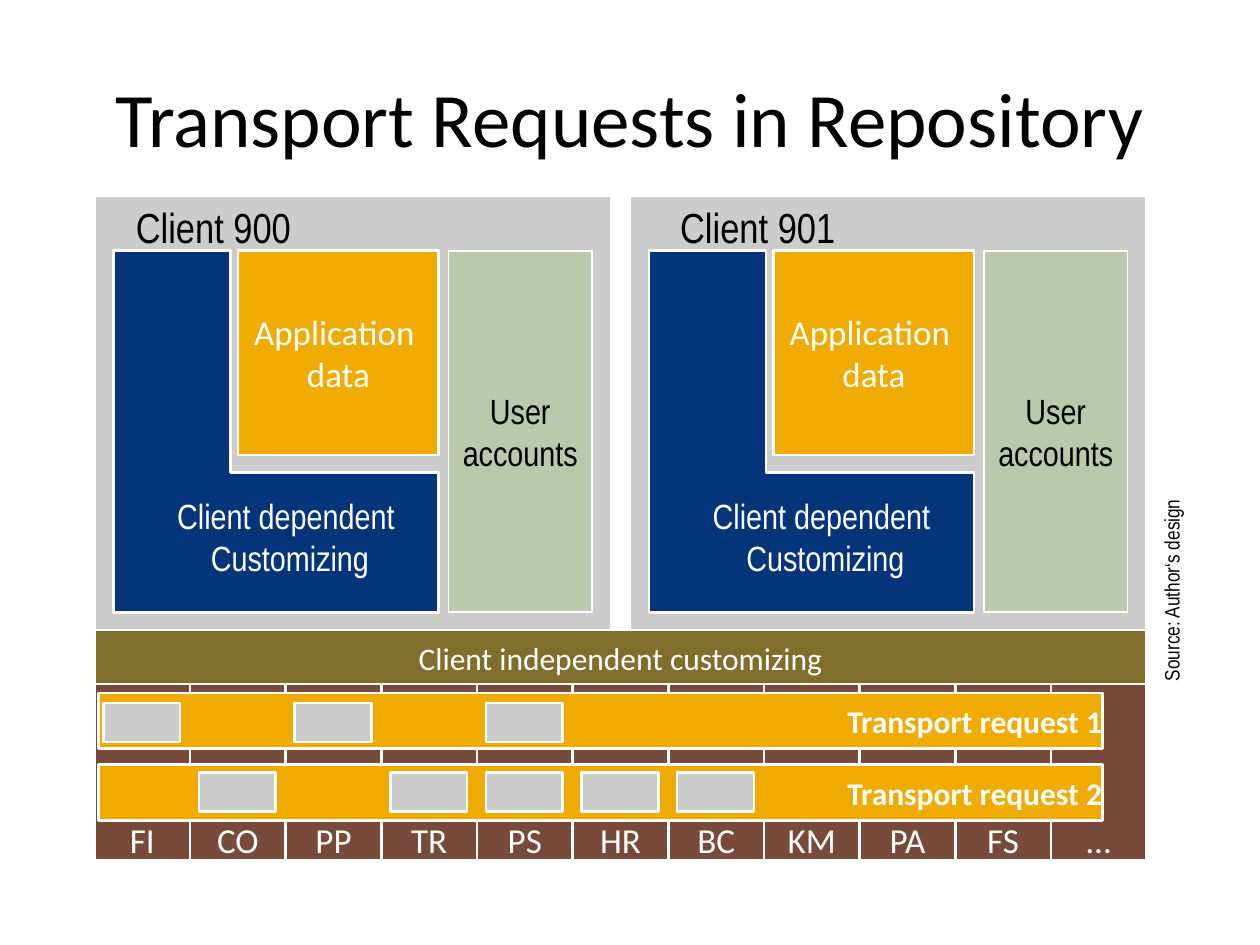
"""Build a slide on transport requests across two clients and shared modules."""
import pptx
import pptx.dml.color
import pptx.enum.shapes
import pptx.enum.text
import pptx.util
from dataclasses import dataclass

Inches = pptx.util.Inches
Pt = pptx.util.Pt
Align = pptx.enum.text.PP_ALIGN
Anchor = pptx.enum.text.MSO_ANCHOR


@dataclass(frozen=True)
class Theme:
    """Colours, fonts and type sizes of the slide."""
    black: str = "000000"
    white: str = "FFFFFF"
    gray: str = "CCCCCC"
    olive: str = "816E2C"
    brown: str = "774A39"
    gold: str = "F0AB00"
    sage: str = "BBC8AC"
    navy: str = "04357B"
    sans: str = "Calibri"
    slim: str = "Arial Narrow"
    title: int = 44
    head: int = 24
    body: int = 20
    bar: int = 18
    note: int = 12


THEME = Theme()
MODULES = ["FI", "CO", "PP", "TR", "PS", "HR", "BC", "KM", "PA", "FS", "…"]
LEFT, WIDTH = 0.75, 8.35
STEP = WIDTH / len(MODULES)


def color(code):
    """Turn a hex code into a colour."""
    return pptx.dml.color.RGBColor.from_string(code)


def write(shape, text, size=THEME.body, font=THEME.sans, ink=THEME.white, bold=False,
          align=Align.CENTER, anchor=Anchor.MIDDLE, inset=None, wrap=False):
    """Put formatted text into a shape, one paragraph a line."""
    frame = shape.text_frame
    frame.text = text
    frame.word_wrap = wrap
    frame.vertical_anchor = anchor
    if inset is not None:
        frame.margin_left = frame.margin_right = Inches(inset)
        frame.margin_top = frame.margin_bottom = Inches(inset)
    for para in frame.paragraphs:
        para.alignment = align
        for run in para.runs:
            run.font.size = Pt(size)
            run.font.name = font
            run.font.bold = bold
            run.font.color.rgb = color(ink)


def paint(shape, fill, line=1.5):
    """Give a shape a flat fill and a white outline."""
    shape.shadow.inherit = False
    shape.fill.solid()
    shape.fill.fore_color.rgb = color(fill)
    shape.line.color.rgb = color(THEME.white)
    shape.line.width = Pt(line)


def box(slide, area, fill, text="", line=1.5, **form):
    """Add a filled rectangle with optional text."""
    kind = pptx.enum.shapes.MSO_SHAPE.RECTANGLE
    shape = slide.shapes.add_shape(kind, *map(Inches, area))
    paint(shape, fill, line)
    if text:
        write(shape, text, inset=0, **form)


def label(slide, area, text, turn=0, **form):
    """Add a text box, turned if asked."""
    shape = slide.shapes.add_textbox(*map(Inches, area))
    shape.rotation = turn
    write(shape, text, font=THEME.slim, **form)


def ell(slide, left, top):
    """Add the L-shaped customizing area."""
    spots = [(0.93, 0), (0.93, 1.76), (2.58, 1.76), (2.58, 2.87), (0, 2.87)]
    path = slide.shapes.build_freeform(Inches(left), Inches(top))
    path.add_line_segments([(Inches(left + x), Inches(top + y)) for x, y in spots])
    paint(path.convert_to_shape(), THEME.navy)


def client(slide, left, name, indent):
    """Add one client with its three data areas."""
    box(slide, (left, 1.55, 4.1, 3.46), THEME.gray)
    label(slide, (left + indent, 1.55, 2.43, 0.47), name, size=THEME.head,
          ink=THEME.black, align=Align.LEFT, anchor=Anchor.TOP, wrap=True)
    box(slide, (left + 1.14, 1.99, 1.59, 1.62), THEME.gold, "Application \ndata")
    box(slide, (left + 2.81, 1.99, 1.14, 2.87), THEME.sage, "User\naccounts", line=1,
        font=THEME.slim, ink=THEME.black)
    ell(slide, left + 0.15, 1.99)
    label(slide, (left + 0.15, 3.68, 2.74, 1.15), "Client dependent\n Customizing")


def request(slide, top, name, gap, used):
    """Add a request bar with a tile on each module it touches."""
    box(slide, (0.78, top, 7.97, 0.44), THEME.gold, name, size=THEME.bar,
        bold=True, align=Align.RIGHT)
    for code in used:
        left = LEFT + 0.07 + STEP * MODULES.index(code)
        box(slide, (left, top + gap, 0.61, 0.31), THEME.gray)


def main():
    """Build and save the slide."""
    deck = pptx.Presentation()
    deck.slide_width, deck.slide_height = Inches(10), Inches(7.5)
    slide = deck.slides.add_slide(deck.slide_layouts[5])
    title = slide.shapes.title
    title.left, title.top, title.width, title.height = map(Inches, (0.5, 0.3, 9, 1.25))
    write(title, "Transport Requests in Repository", size=THEME.title,
          ink=THEME.black, wrap=True)
    label(slide, (8.39, 4.47, 1.81, 0.26), "Source: Author‘s design", turn=270,
          size=THEME.note, ink=THEME.black, align=Align.LEFT)
    client(slide, LEFT, "Client 900", 0.23)
    client(slide, LEFT + 4.25, "Client 901", 0.3)
    box(slide, (LEFT, 5, WIDTH, 0.44), THEME.olive, "Client independent customizing",
        size=THEME.bar)
    for i, code in enumerate(MODULES):
        box(slide, (LEFT + i * STEP, 5.43, STEP, 1.4), THEME.brown, code,
            anchor=Anchor.BOTTOM)
    request(slide, 5.5, "Transport request 1", 0.08, ["FI", "PP", "PS"])
    request(slide, 6.07, "Transport request 2", 0.06, ["CO", "TR", "PS", "HR", "BC"])
    deck.save("out.pptx")


if __name__ == "__main__":
    main()
